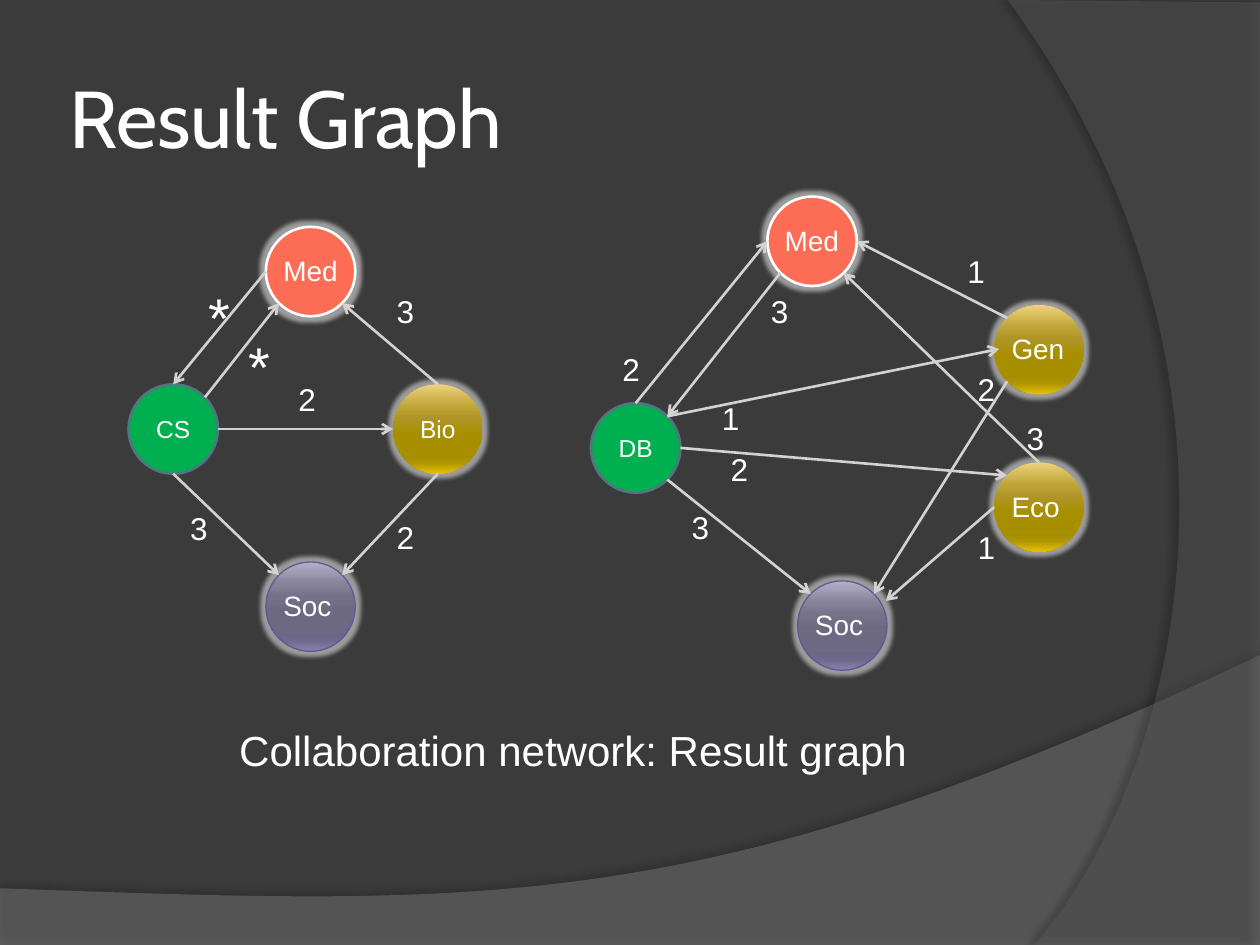
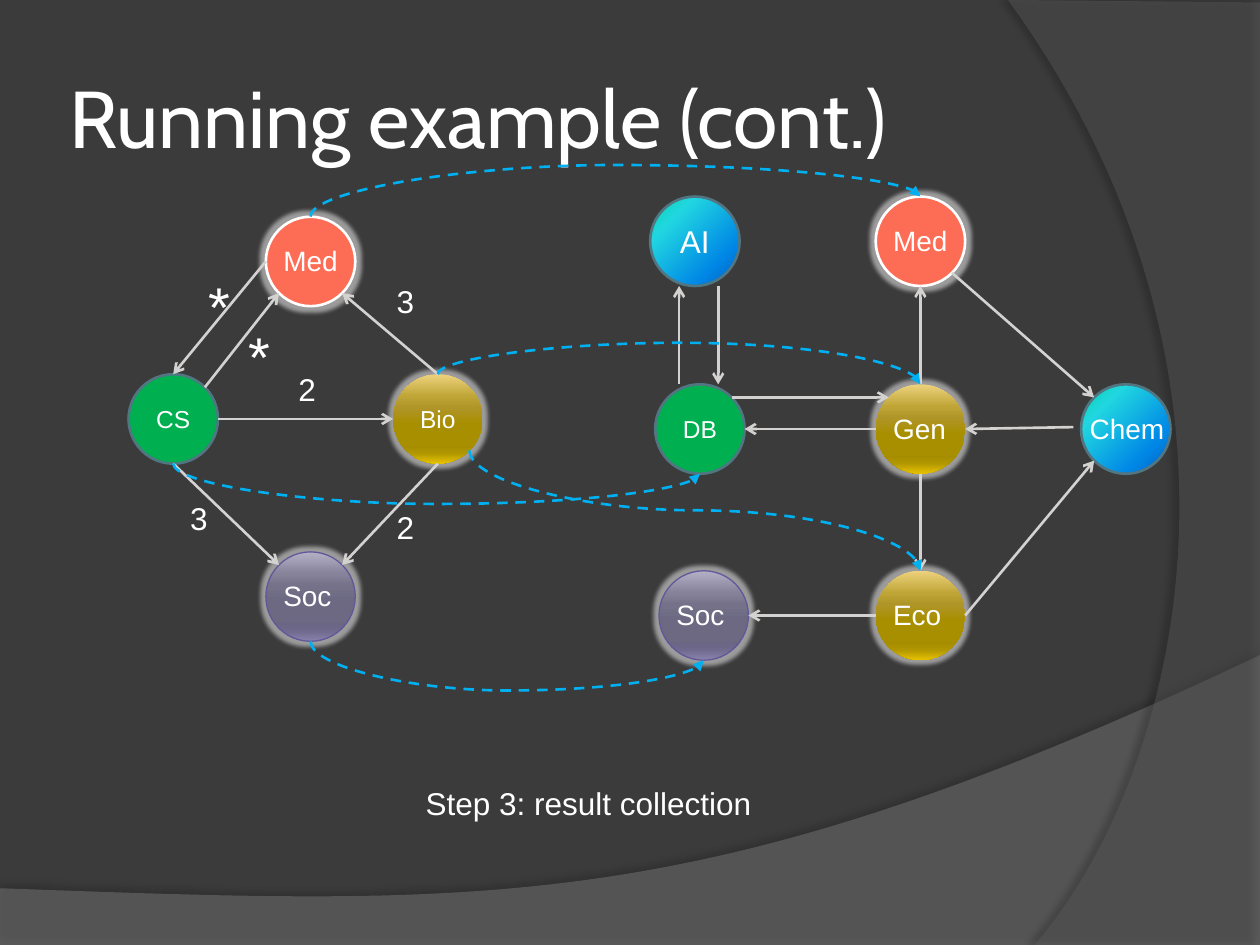
from lxml import etree
from pptx import Presentation
from pptx import util as u
from pptx.dml.color import RGBColor
from pptx.enum import dml, shapes, text
from pptx.oxml import ns, parse_xml

BACKGROUND = RGBColor(0x3B, 0x3B, 0x3B)
BAND = RGBColor(0x7F, 0x7F, 0x7F)
ARC = RGBColor(0x5E, 0x5E, 0x5E)
WHITE = RGBColor(0xFF, 0xFF, 0xFF)
EDGE = RGBColor(0xD4, 0xD2, 0xD0)
MATCH = RGBColor(0x00, 0xB0, 0xF0)
GREEN = RGBColor(0x00, 0xB0, 0x50)
CORAL = RGBColor(0xFD, 0x6D, 0x55)
RIM = RGBColor(0x51, 0x76, 0x82)
PURPLE_RIM = RGBColor(0x62, 0x58, 0x99)

GOLD = (90, [(0, "EED27E"), (25, "BFA536"), (38, "AF9527"), (55, "A88F00"),
             (80, "A68D00"), (88, "AF9500"), (100, "E6C100")])
PURPLE = (90, [(0, "B3B0C6"), (25, "86829A"), (38, "747188"), (55, "6D6983"),
               (80, "6A6684"), (88, "6F698D"), (100, "8982AC")])
OCEAN = (45, [(0, "03D4A8"), (25, "21D6E0"), (75, "0087E6"), (100, "005CBF")])

STYLES = {
    "computing": (GREEN, RIM, 1.5, False),
    "medicine": (CORAL, WHITE, 1.5, True),
    "biology": (GOLD, None, 0, True),
    "society": (PURPLE, PURPLE_RIM, 0.75, True),
    "other": (OCEAN, RIM, 1.5, False),
}

NODE = 0.71
DIAGONAL = 0.707
SITES = {
    "n": (0, -1), "s": (0, 1), "w": (-1, 0), "e": (1, 0),
    "nw": (-DIAGONAL, -DIAGONAL), "ne": (DIAGONAL, -DIAGONAL),
    "sw": (-DIAGONAL, DIAGONAL), "se": (DIAGONAL, DIAGONAL),
}


def inches(*lengths):
    return [u.Inches(v) for v in lengths]


def drawing(markup):
    tag, _, rest = markup.partition(" ")
    return parse_xml(f"{tag} {ns.nsdecls('a')} {rest}")


def add_effect(sp, markup):
    sp.shadow.inherit = False
    sp.element.spPr.find(ns.qn("a:effectLst")).append(drawing(markup))


def add_run(p, words, size, font="Arial"):
    r = p.add_run()
    r.text = words
    r.font.size = u.Pt(size)
    r.font.name = font
    r.font.color.rgb = WHITE


def add_text(s, box, words, size, font="Arial", wrap=True):
    sp = s.shapes.add_textbox(*inches(*box))
    tf = sp.text_frame
    tf.word_wrap = wrap
    tf.auto_size = text.MSO_AUTO_SIZE.SHAPE_TO_FIT_TEXT
    add_run(tf.paragraphs[0], words, size, font)
    return tf


def add_title(s, words):
    tf = add_text(s, (0.5, 0.3, 8.17, 1.25), words, 46, "Cabin")
    tf.auto_size = text.MSO_AUTO_SIZE.NONE
    tf.vertical_anchor = text.MSO_ANCHOR.MIDDLE
    tf.margin_left = tf.margin_right = u.Inches(0.05)


def bezier(a, b, c, d, steps=60):
    for i in range(1, steps + 1):
        t = i / steps
        weights = ((1 - t) ** 3, 3 * t * (1 - t) ** 2, 3 * t * t * (1 - t), t ** 3)
        yield tuple(sum(k * pt[axis] for k, pt in zip(weights, (a, b, c, d)))
                    for axis in (0, 1))


def add_swoosh(s, outline, color, opacity, shade, distance, direction):
    points = [inches(*pt) for pt in outline]
    builder = s.shapes.build_freeform(*points[0])
    builder.add_line_segments(points[1:], close=True)
    sp = builder.convert_to_shape()
    sp.fill.solid()
    sp.fill.fore_color.rgb = color
    solid = sp.element.spPr.find(ns.qn("a:solidFill"))
    etree.SubElement(solid[0], ns.qn("a:alpha"), val=str(opacity * 1000))
    sp.line.fill.background()
    add_effect(sp, f'<a:outerShdw blurRad="{u.Pt(4)}" dist="{u.Pt(distance)}" '
                   f'dir="{direction * 60000}" algn="ctr" rotWithShape="0">'
                   f'<a:srgbClr val="000000"><a:alpha val="{shade * 1000}"/>'
                   '</a:srgbClr></a:outerShdw>')


def new_slide(prs, title):
    s = prs.slides.add_slide(prs.slide_layouts[6])
    s.background.fill.solid()
    s.background.fill.fore_color.rgb = BACKGROUND
    band = [(0, 7.05), (0, 7.5), (10, 7.5), (10, 5.2),
            *bezier((10, 5.2), (5.59, 7.29), (3.91, 7.19), (0, 7.05))]
    arc = [(10, 0.02), (10, 7.5), (8.21, 7.5),
           *bezier((8.21, 7.5), (9.35, 6.19), (10.18, 3), (8, 0))]
    add_swoosh(s, band, BAND, 45, 35, 3.5, 270)
    add_swoosh(s, arc, ARC, 40, 45, 4, 180)
    add_title(s, title)
    return s


def paint(sp, fill):
    if isinstance(fill, RGBColor):
        sp.fill.solid()
        sp.fill.fore_color.rgb = fill
        return
    angle, colors = fill
    stops = "".join(f'<a:gs pos="{pos * 1000}"><a:srgbClr val="{color}"/></a:gs>'
                    for pos, color in colors)
    sp.element.spPr.insert(2, drawing(
        f'<a:gradFill rotWithShape="1"><a:gsLst>{stops}</a:gsLst>'
        f'<a:lin ang="{angle * 60000}" scaled="0"/></a:gradFill>'))


def add_node(s, style, words, left, top, size=None, dx=0.04, width=0.63):
    fill, rim, weight, glows = STYLES[style]
    sp = s.shapes.add_shape(shapes.MSO_SHAPE.OVAL, *inches(left, top, NODE, NODE))
    sp.shadow.inherit = False
    if rim is None:
        sp.line.fill.background()
    else:
        sp.line.color.rgb = rim
        sp.line.width = u.Pt(weight)
    paint(sp, fill)
    if glows:
        add_effect(sp, f'<a:glow rad="{u.Pt(5)}"><a:srgbClr val="FFFFFF">'
                       '<a:alpha val="50000"/></a:srgbClr></a:glow>')
    if size:
        tf = sp.text_frame
        tf.vertical_anchor = text.MSO_ANCHOR.MIDDLE
        tf.paragraphs[0].alignment = text.PP_ALIGN.CENTER
        add_run(tf.paragraphs[0], words, size)
    else:
        add_text(s, (left + dx, top + 0.165, width, 0.37), words, 16)
    return left + NODE / 2, top + NODE / 2


def add_med(s, left, top):
    return add_node(s, "medicine", "Med", left, top, width=0.74)


def site(node, side):
    dx, dy = SITES[side]
    return node[0] + dx * NODE / 2, node[1] + dy * NODE / 2


def style_line(cx, color, head):
    cx.line.color.rgb = color
    cx.line.width = u.Pt(1.5)
    ln = cx.line._get_or_add_ln()
    etree.SubElement(ln, ns.qn("a:tailEnd"), type=head)
    etree.SubElement(cx.element.spPr, ns.qn("a:effectLst"))


def add_arrow(s, start, end):
    cx = s.shapes.add_connector(shapes.MSO_CONNECTOR.STRAIGHT, *inches(*start, *end))
    style_line(cx, EDGE, "arrow")


def add_match(s, start, end, bend):
    (x0, y0), (x1, y1) = start, end
    run, rise = x1 - x0, y1 - y0
    mid_x, mid_y = (x0 + x1) / 2, (y0 + y1) / 2
    half_w, half_h = abs(rise) / 2, run / 2
    cx = s.shapes.add_connector(
        shapes.MSO_CONNECTOR.CURVE,
        *inches(mid_x - half_w, mid_y - half_h, mid_x + half_w, mid_y + half_h))
    xfrm = cx.element.spPr.find(ns.qn("a:xfrm"))
    xfrm.set("rot", str((270 if rise > 0 else 90) * 60000))
    xfrm.set("flipH", "1")
    if rise < 0:
        xfrm.set("flipV", "1")
    guides = cx.element.spPr.find(ns.qn("a:prstGeom")).find(ns.qn("a:avLst"))
    etree.SubElement(guides, ns.qn("a:gd"), name="adj1",
                     fmla=f"val {round((bend - y0) / rise * 100000)}")
    cx.line.dash_style = dml.MSO_LINE.DASH
    style_line(cx, MATCH, "triangle")


def add_weights(s, labels):
    for words, left, top in labels:
        star = words == "*"
        add_text(s, (left, top, 0.31, 0.64 if star else 0.4), words, 32 if star else 18)


def add_pattern(s, top):
    cs = add_node(s, "computing", "CS", 1.02, top + 1.25, 14)
    bio = add_node(s, "biology", "Bio", 3.12, top + 1.25, 14)
    soc = add_node(s, "society", "Soc", 2.11, top + 2.66)
    med = add_med(s, 2.11, top)
    for a, side_a, b, side_b in [
            (med, "w", cs, "n"), (cs, "ne", med, "sw"), (cs, "e", bio, "w"),
            (cs, "s", soc, "nw"), (bio, "n", med, "se"), (bio, "s", soc, "ne")]:
        add_arrow(s, site(a, side_a), site(b, side_b))
    add_weights(s, [(words, left, top + dy) for words, left, dy in [
        ("*", 1.56, 0.39), ("3", 1.41, 2.19), ("*", 1.87, 0.78),
        ("2", 2.27, 1.17), ("3", 3.05, 0.47), ("2", 3.05, 2.26)]])
    return cs, bio, soc, med


def build_result_graph(prs):
    s = new_slide(prs, "Result Graph")
    add_pattern(s, 1.8)
    db = add_node(s, "computing", "DB", 4.69, 3.2, 14)
    med = add_med(s, 6.09, 1.56)
    gen = add_node(s, "biology", "Gen", 7.89, 2.42)
    soc = add_node(s, "society", "Soc", 6.33, 4.61)
    eco = add_node(s, "biology", "Eco", 7.89, 3.67)
    for start, end in [
            (site(med, "sw"), site(db, "ne")), (site(gen, "nw"), site(med, "e")),
            (site(db, "n"), site(med, "w")), (site(eco, "w"), (7.03, 4.77)),
            (site(eco, "n"), site(med, "se")), (site(db, "se"), site(soc, "nw")),
            (site(db, "e"), site(eco, "nw")), (site(db, "ne"), (7.93, 2.77)),
            (site(gen, "sw"), site(soc, "ne"))]:
        add_arrow(s, start, end)
    add_weights(s, [
        ("3", 6.02, 2.27), ("3", 8.05, 3.28), ("1", 5.63, 3.12),
        ("2", 5.7, 3.52), ("1", 7.66, 4.14), ("3", 5.39, 3.98),
        ("2", 4.84, 2.73), ("1", 7.58, 1.95), ("2", 7.66, 2.89)])
    add_text(s, (1.8, 5.7, 5.62, 0.5), "Collaboration network: Result graph", 24,
             wrap=False)


def build_running_example(prs):
    s = new_slide(prs, "Running example (cont.)")
    cs, bio, soc, med = add_pattern(s, 1.72)
    db = add_node(s, "computing", "DB", 5.2, 3.05, 14)
    med_match = add_med(s, 6.95, 1.56)
    gen = add_node(s, "biology", "Gen", 6.95, 3.05)
    soc_match = add_node(s, "society", "Soc", 5.23, 4.53)
    eco = add_node(s, "biology", "Eco", 6.95, 4.53)
    add_node(s, "other", "AI", 5.16, 1.56, 18)
    chem = add_node(s, "other", "Chem", 8.58, 3.05, dx=-0.03, width=0.82)
    for start, end in [
            (site(gen, "w"), site(db, "e")), (site(gen, "n"), site(med_match, "s")),
            ((5.39, 3.05), (5.39, 2.27)), (site(db, "ne"), site(gen, "nw")),
            (site(med_match, "se"), site(chem, "nw")), ((5.7, 2.27), (5.7, 3.05)),
            (site(eco, "w"), site(soc_match, "e")), (site(eco, "e"), site(chem, "sw")),
            ((8.52, 3.39), site(gen, "e")), (site(gen, "s"), site(eco, "n"))]:
        add_arrow(s, start, end)
    for start, end, bend in [
            (site(med, "n"), site(med_match, "n"), 1.31),
            (site(cs, "s"), site(db, "s"), 4),
            (site(bio, "n"), site(gen, "n"), 2.72),
            (site(bio, "se"), site(eco, "n"), 4.05),
            (site(soc, "s"), site(soc_match, "s"), 5.48)]:
        add_match(s, start, end, bend)
    add_text(s, (3.28, 6.17, 2.81, 0.4), "Step 3: result collection", 18, wrap=False)


def main():
    prs = Presentation()
    prs.slide_width, prs.slide_height = inches(10, 7.5)
    build_result_graph(prs)
    build_running_example(prs)
    prs.save("out.pptx")


if __name__ == "__main__":
    main()
